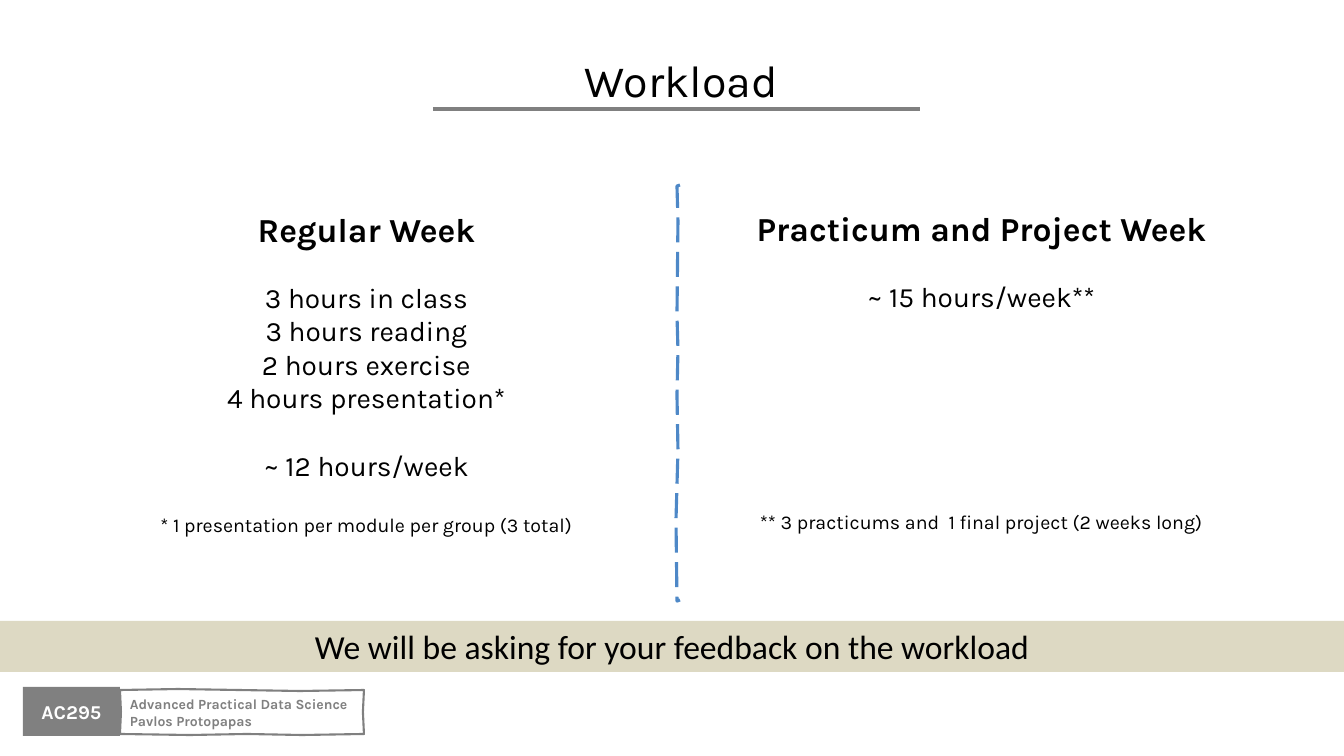
from pptx import Presentation
from pptx.dml.color import RGBColor
from pptx.enum.dml import MSO_LINE
from pptx.enum.shapes import MSO_CONNECTOR, MSO_SHAPE
from pptx.enum.text import MSO_ANCHOR, MSO_AUTO_SIZE, PP_ALIGN
from pptx.oxml.ns import qn
from pptx.util import Emu, Pt
from lxml.etree import SubElement

SCALE = 914400 / 100.8
INK = {"black": "000000", "white": "FFFFFF", "gray": "808080",
       "blue": "4E88C7", "sand": "DDD9C3"}


def px(n):
    return Emu(round(n * SCALE))


def tint(name):
    return RGBColor.from_string(INK[name])


def place(shape, box):
    shape.left, shape.top, shape.width, shape.height = map(px, box)


def write(frame, lines, color="black", font="Karla",
          align=PP_ALIGN.CENTER, anchor=MSO_ANCHOR.MIDDLE):
    """Each line is (text, size, bold, space before)."""
    frame.word_wrap = True
    frame.auto_size = MSO_AUTO_SIZE.NONE
    frame.vertical_anchor = anchor
    for i, (text, size, bold, gap) in enumerate(lines):
        para = frame.add_paragraph() if i else frame.paragraphs[0]
        para.alignment = align
        para.space_before = Pt(gap)
        para.space_after = Pt(0)
        run = para.add_run()
        run.text = text
        run.font.name, run.font.size, run.font.bold = font, Pt(size), bold
        run.font.color.rgb = tint(color)


def block(slide, box, fill):
    shape = slide.shapes.add_shape(MSO_SHAPE.RECTANGLE, *map(px, box))
    shape.shadow.inherit = False
    shape.fill.solid()
    shape.fill.fore_color.rgb = tint(fill)
    shape.line.fill.background()
    return shape


def sketch(slide, box, points, color, width, close):
    """Hand-drawn outline; points are offsets from the box corner."""
    x, y = box[:2]
    spots = [(x + dx, y + dy) for dx, dy in points]
    pen = slide.shapes.build_freeform(*spots[0], scale=SCALE)
    pen.add_line_segments(spots[1:], close=close)
    shape = pen.convert_to_shape()
    shape.shadow.inherit = False
    shape.fill.background()
    shape.line.color.rgb = tint(color)
    shape.line.width = Pt(width)
    return shape


def header(slide, box):
    # Title and its rule
    x, y, w, h = box
    title = slide.shapes.title
    place(title, box)
    write(title.text_frame, [("Workload", 32, False, 0)])
    ends = x + 305, y + 65, x + 792, y + 65
    rule = slide.shapes.add_connector(MSO_CONNECTOR.STRAIGHT, *map(px, ends))
    rule.line.color.rgb = tint("gray")
    rule.line.width = Pt(3)
    SubElement(rule._element.spPr, qn("a:effectLst"))


def column(slide, idx, box, lines):
    # One kind of week
    body = slide.placeholders[idx]
    place(body, box)
    write(body.text_frame, lines, anchor=MSO_ANCHOR.TOP)
    for para in body.text_frame.paragraphs:
        props = para._p.get_or_add_pPr()
        props.set("marL", "0")
        props.set("indent", "0")
        SubElement(props, qn("a:buNone"))


def split(slide, box):
    # Dashed divider
    points = [(4, 0), (1, 1), (2, 36), (1, 130), (2, 165), (1, 210),
              (2, 265), (0, 335), (1, 416), (4, 415)]
    line = sketch(slide, box, points, "blue", 2.25, False)
    line.line.dash_style = MSO_LINE.LONG_DASH


def banner(slide, box):
    # Feedback notice
    band = block(slide, box, "sand")
    text = "We will be asking for your feedback on the workload"
    write(band.text_frame, [(text, 24, False, 0)], font="Calibri")


def footer(slide, box):
    # Course badge and sketched label
    x, y, w, h = box
    badge = block(slide, (x, y, 97, h), "gray")
    write(badge.text_frame, [("AC295", 14, True, 0)], "white")
    points = [(97, 3), (155, 2), (216, 3), (277, 4), (w, 3), (w - 1, 25),
              (w, 47), (279, 48), (224, 47), (167, 48), (97, 47), (98, 25)]
    label = sketch(slide, box, points, "gray", 1.5, True)
    lines = [("Advanced Practical Data Science", 10, True, 0),
             ("Pavlos Protopapas", 10, True, 0)]
    write(label.text_frame, lines, "gray", align=PP_ALIGN.LEFT)


def main():
    deck = Presentation()
    deck.slide_width, deck.slide_height = px(1344), px(756)
    slide = deck.slides.add_slide(deck.slide_layouts[3])
    header(slide, (128, 44, 1107, 72))
    column(slide, 1, (61, 204, 611, 340), [
        ("Regular Week", 24, True, 0),
        ("3 hours in class", 20, False, 22),
        ("3 hours reading", 20, False, 0),
        ("2 hours exercise", 20, False, 0),
        ("4 hours presentation*", 20, False, 0),
        ("~ 12 hours/week", 20, False, 24),
        ("* 1 presentation per module per group (3 total)", 14, False, 22)])
    column(slide, 2, (680, 203, 603, 340), [
        ("Practicum and Project Week", 24, True, 0),
        ("~ 15 hours/week**", 20, False, 22),
        ("** 3 practicums and  1 final project (2 weeks long)",
         14, False, 141)])
    split(slide, (676, 185, 4, 416))
    banner(slide, (0, 621, 1344, 51))
    footer(slide, (23, 687, 341, 49))
    deck.save("out.pptx")


if __name__ == "__main__":
    main()
